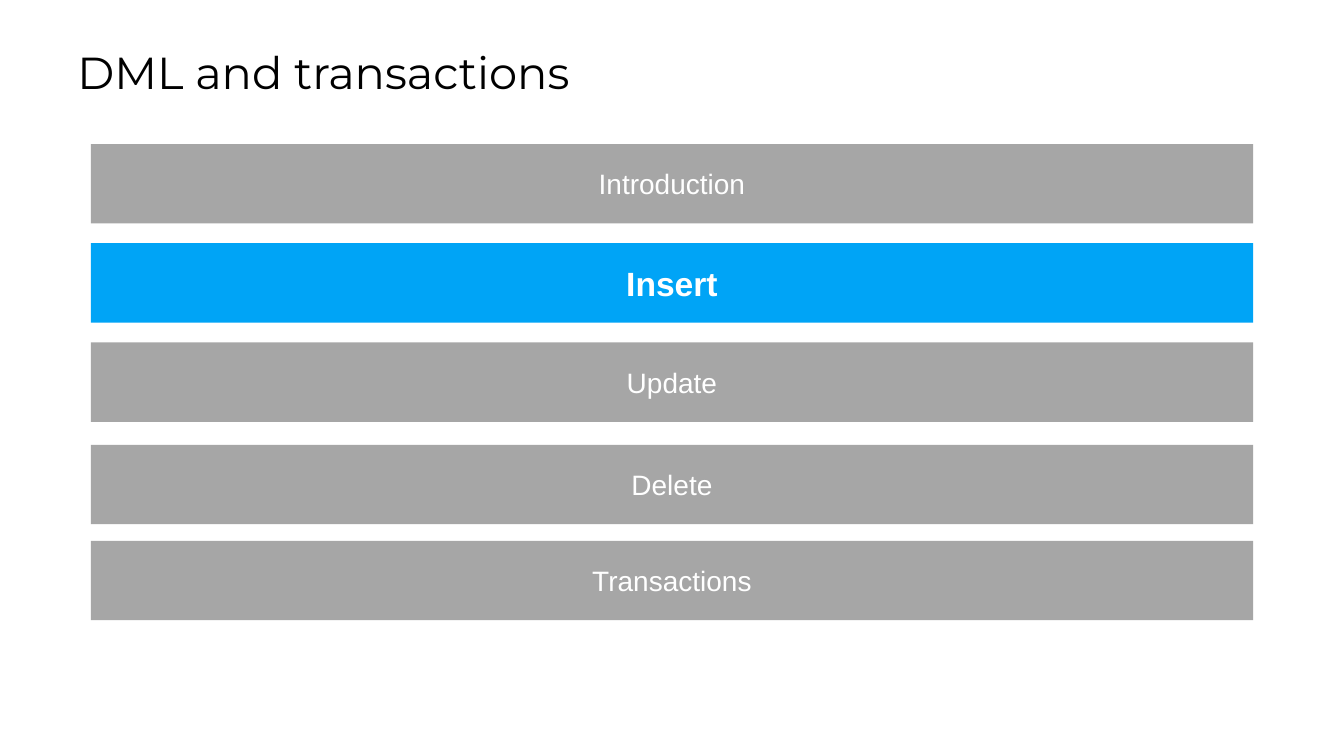
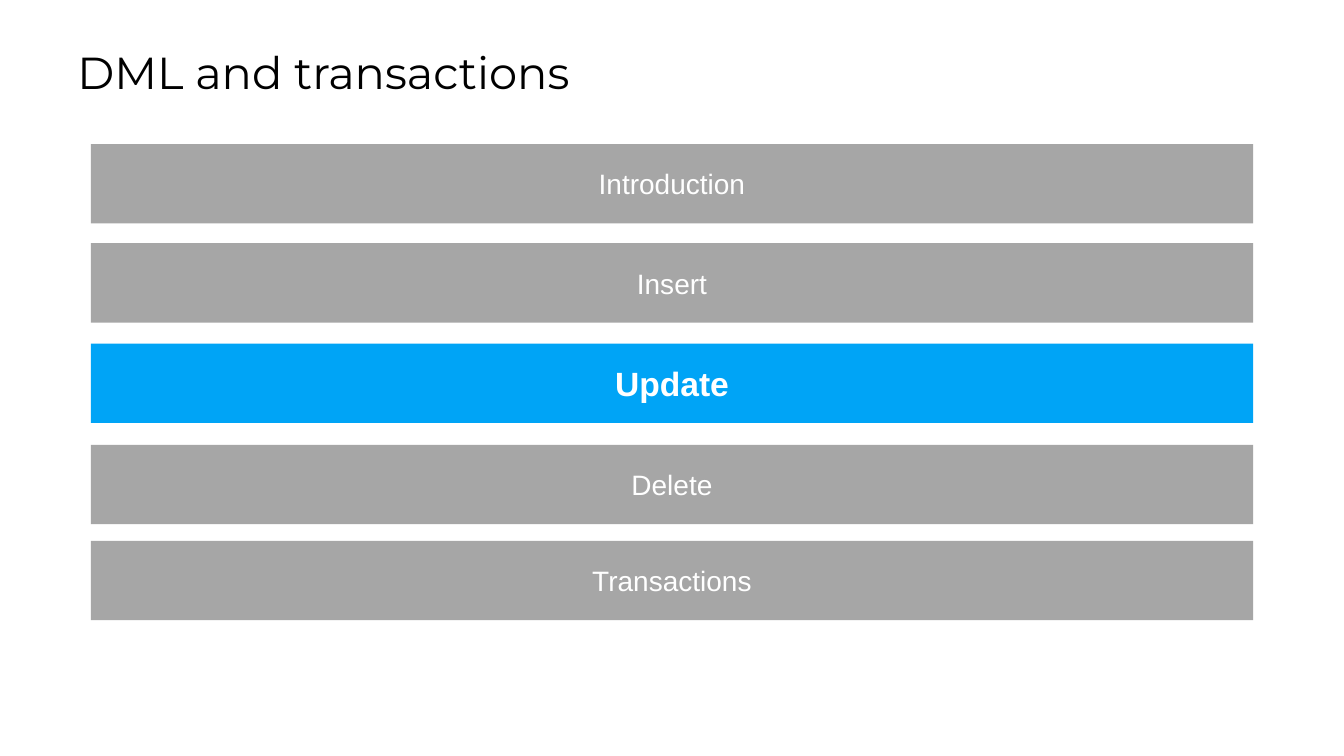
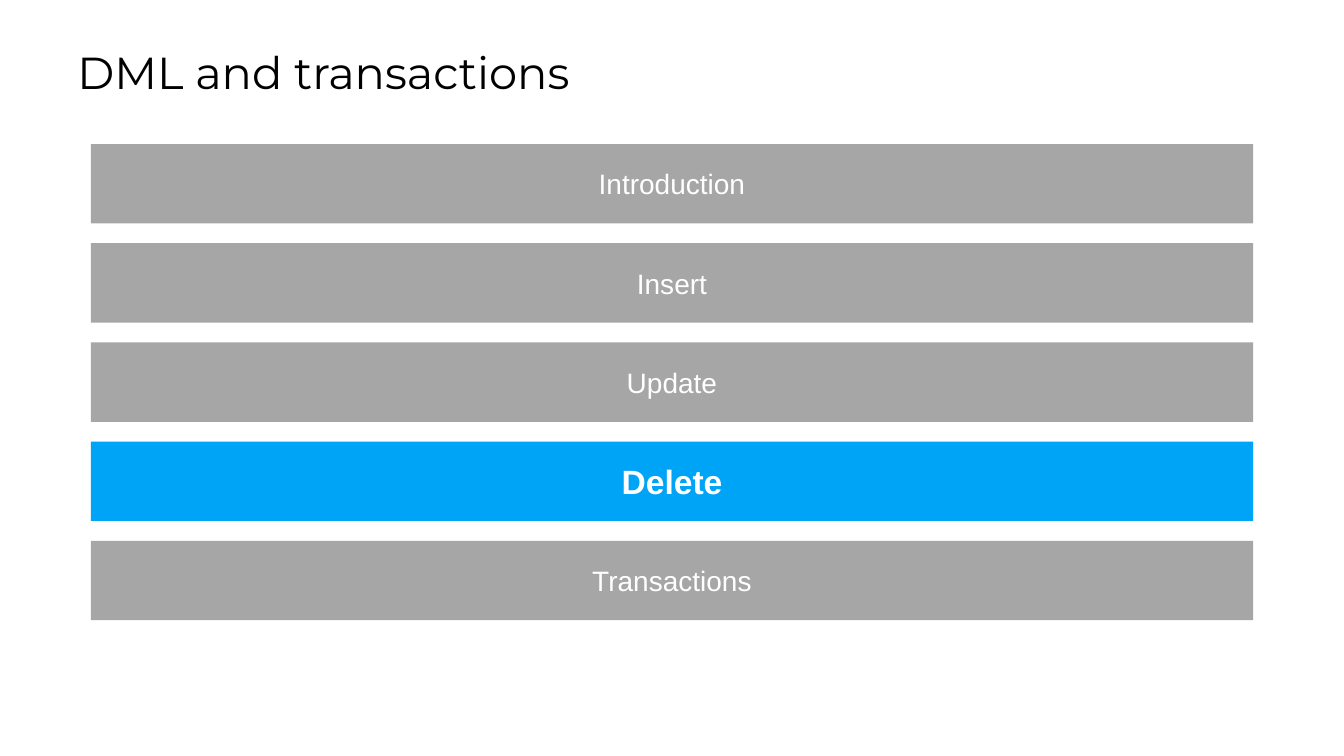
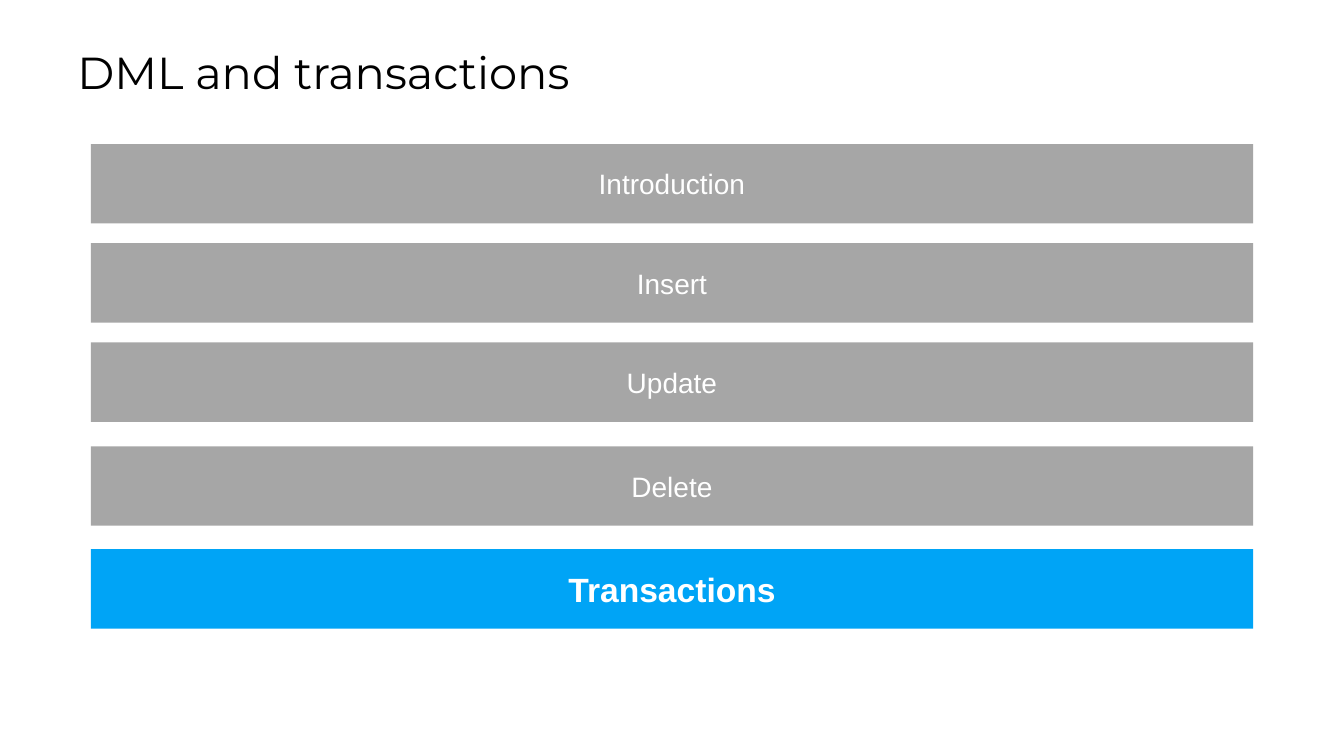
from pptx import Presentation
from pptx.dml.color import RGBColor
from pptx.enum.shapes import MSO_SHAPE
from pptx.enum.text import MSO_ANCHOR, MSO_AUTO_SIZE, PP_ALIGN
from pptx.util import Cm, Pt

COLOURS = {"title": "000000", "bar": "A6A6A6", "current": "00A4F6", "label": "FFFFFF"}
FORMATS = {
    "title": {"name": "Montserrat", "size": Pt(32), "bold": False},
    "bar": {"name": "Arial", "size": Pt(20), "bold": False},
    "current": {"name": "Arial", "size": Pt(24), "bold": True},
}
TITLE = "DML and transactions"
TOPICS = ["Introduction", "Insert", "Update", "Delete", "Transactions"]
# Each slide: its current topic, and the topics set lower than the grid (cm)
AGENDAS = [
    ("Insert", {"Delete": 0.08}),
    ("Update", {"Update": 0.03, "Delete": 0.08}),
    ("Delete", {}),
    ("Transactions", {"Delete": 0.12, "Transactions": 0.21}),
]
BAR_LEFT, BAR_TOP, BAR_WIDTH, BAR_HEIGHT, BAR_PITCH = 2.29, 3.63, 29.29, 2, 2.5


class Deck:
    def __init__(self):
        self.presentation = Presentation()
        self.presentation.slide_width = Cm(33.87)
        self.presentation.slide_height = Cm(19.05)
        self.slide = None

    def new_slide(self):
        blank = self.presentation.slide_layouts[6]
        self.slide = self.presentation.slides.add_slide(blank)

    def set_text(self, frame, words, style, colour, alignment):
        frame.word_wrap = True
        frame.vertical_anchor = MSO_ANCHOR.MIDDLE
        paragraph = frame.paragraphs[0]
        paragraph.alignment = alignment
        run = paragraph.add_run()
        run.text = words
        for attribute, value in FORMATS[style].items():
            setattr(run.font, attribute, value)
        run.font.color.rgb = RGBColor.from_string(COLOURS[colour])

    def title(self, words):
        heading = self.slide.shapes.add_textbox(Cm(1.7), Cm(0.99), Cm(30.63), Cm(1.63))
        self.set_text(heading.text_frame, words, "title", "title", PP_ALIGN.LEFT)
        heading.text_frame.auto_size = MSO_AUTO_SIZE.SHAPE_TO_FIT_TEXT

    def bar(self, topic, top, style):
        bar = self.slide.shapes.add_shape(
            MSO_SHAPE.RECTANGLE, Cm(BAR_LEFT), Cm(top), Cm(BAR_WIDTH), Cm(BAR_HEIGHT)
        )
        bar.shadow.inherit = False
        bar.fill.solid()
        bar.fill.fore_color.rgb = RGBColor.from_string(COLOURS[style])
        bar.line.fill.background()
        self.set_text(bar.text_frame, topic, style, "label", PP_ALIGN.CENTER)

    def agenda(self, current, offsets):
        """Add a slide listing all topics with the current one highlighted."""
        self.new_slide()
        self.title(TITLE)
        for row, topic in enumerate(TOPICS):
            top = BAR_TOP + row * BAR_PITCH + offsets.get(topic, 0)
            self.bar(topic, top, "current" if topic == current else "bar")


def main():
    deck = Deck()
    for current, offsets in AGENDAS:
        deck.agenda(current, offsets)
    deck.presentation.save("out.pptx")


if __name__ == "__main__":
    main()
